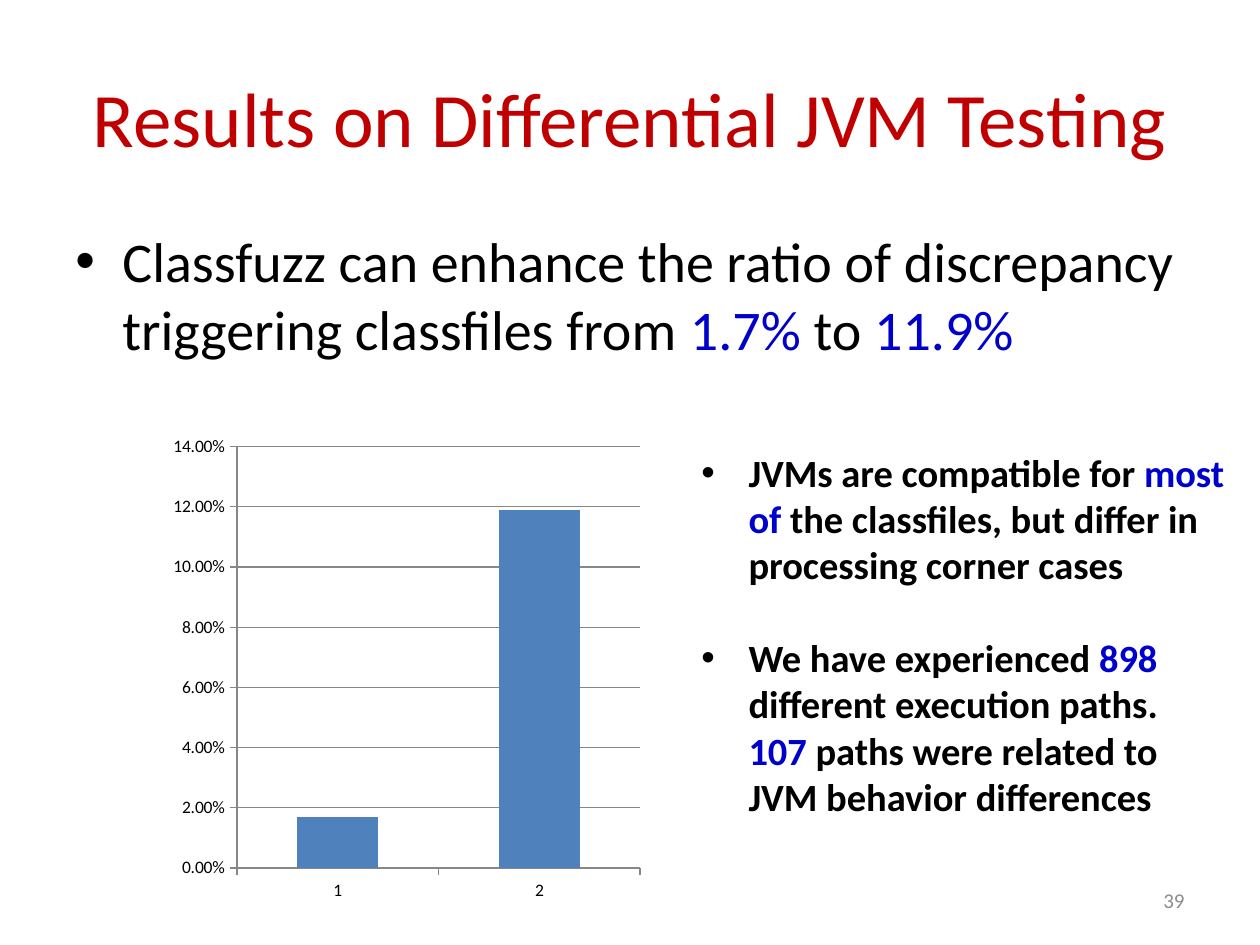
"""Build the slide on differential JVM testing results."""
import pptx
import pptx.chart.data
import pptx.dml.color
import pptx.enum.chart
import pptx.enum.text
import pptx.oxml
import pptx.oxml.ns
import pptx.util
from pptx.util import Cm, Pt

FONT = "Calibri"
COLORS = {"title": "C00000", "text": "000000", "key": "0000CC",
          "number": "8C8C8C", "bar": "4F81BD", "axis": "878787"}
ALIGN = pptx.enum.text.PP_ALIGN
ANCHOR = pptx.enum.text.MSO_ANCHOR

TEXTS = [
    {"at": (1.27, 0.76, 22.86, 3.18), "size": 44, "align": ALIGN.CENTER, "anchor": ANCHOR.MIDDLE,
     "paras": [[("Results on Differential JVM Testing", "title")]]},
    {"at": (1.27, 4.45, 22.86, 12.57), "size": 32, "bullet": True, "before": 6.4,
     "paras": [[("Classfuzz can enhance the ratio of discrepancy triggering classfiles from ", "text"),
                ("1.7%", "key"), (" to ", "text"), ("11.9%", "key")]]},
    {"at": (13.89, 8.92, 11.2, 7.77), "size": 22, "bullet": True, "bold": True, "gap": 26.85,
     "paras": [[("JVMs are compatible for ", "text"), ("most of ", "key"),
                ("the classfiles, but differ in processing corner cases", "text")],
               [("We have experienced ", "text"), ("898", "key"),
                (" different execution paths.  ", "text"), ("107", "key"),
                (" paths were related to JVM behavior differences", "text")]]},
    {"at": (18.2, 17.65, 5.93, 1.01), "size": 12, "align": ALIGN.RIGHT, "anchor": ANCHOR.MIDDLE,
     "paras": [[("39", "number")]]},
]
CHART = {"at": (3.3, 8.61, 9.8, 9.73), "cats": ["1", "2"], "name": "Series 1",
         "vals": [0.017, 0.119]}


def rgb(name):
    return pptx.dml.color.RGBColor.from_string(COLORS[name])


def add_bullet(p):
    pPr = p._p.get_or_add_pPr()
    pPr.set("marL", str(Cm(0.95)))
    pPr.set("indent", str(-Cm(0.95)))
    ns = pptx.oxml.ns.nsdecls("a")
    pPr.append(pptx.oxml.parse_xml(f'<a:buFont {ns} typeface="Arial"/>'))
    pPr.append(pptx.oxml.parse_xml(f'<a:buChar {ns} char="\u2022"/>'))


def add_text(s, item):
    tf = s.shapes.add_textbox(*map(Cm, item["at"])).text_frame
    tf.word_wrap = True
    tf.vertical_anchor = item.get("anchor", ANCHOR.TOP)
    for i, runs in enumerate(item["paras"]):
        p = tf.add_paragraph() if i else tf.paragraphs[0]
        p.alignment = item.get("align", ALIGN.LEFT)
        p.space_before = Pt(item.get("gap", 0) if i else item.get("before", 0))
        if item.get("bullet"):
            add_bullet(p)
        for text, color in runs:
            r = p.add_run()
            r.text = text
            r.font.name, r.font.size = FONT, Pt(item["size"])
            r.font.bold = item.get("bold", False)
            r.font.color.rgb = rgb(color)


def add_chart(s):
    data = pptx.chart.data.CategoryChartData(number_format="0.00%")
    data.categories = CHART["cats"]
    data.add_series(CHART["name"], CHART["vals"])
    kind = pptx.enum.chart.XL_CHART_TYPE.COLUMN_CLUSTERED
    chart = s.shapes.add_chart(kind, *map(Cm, CHART["at"]), data).chart
    chart.has_legend = chart.has_title = False
    chart.font.name, chart.font.size = FONT, Pt(10)
    chart.font.color.rgb = rgb("text")
    plot = chart.plots[0]
    plot.gap_width, plot.vary_by_categories = 150, False
    fill = plot.series[0].format.fill
    fill.solid()
    fill.fore_color.rgb = rgb("bar")
    value = chart.value_axis
    value.has_major_gridlines = True
    value.minimum_scale, value.maximum_scale, value.major_unit = 0, 0.14, 0.02
    value.tick_labels.number_format = "0.00%"
    value.tick_labels.number_format_is_linked = False
    for axis in (chart.category_axis, value):
        axis.major_tick_mark = pptx.enum.chart.XL_TICK_MARK.OUTSIDE
    for part in (chart.category_axis, value, value.major_gridlines):
        part.format.line.color.rgb = rgb("axis")
        part.format.line.width = Pt(0.75)


prs = pptx.Presentation()
prs.slide_width, prs.slide_height = Cm(25.4), Cm(19.05)
s = prs.slides.add_slide(prs.slide_layouts[6])
add_chart(s)
for item in TEXTS:
    add_text(s, item)
prs.save("out.pptx")
